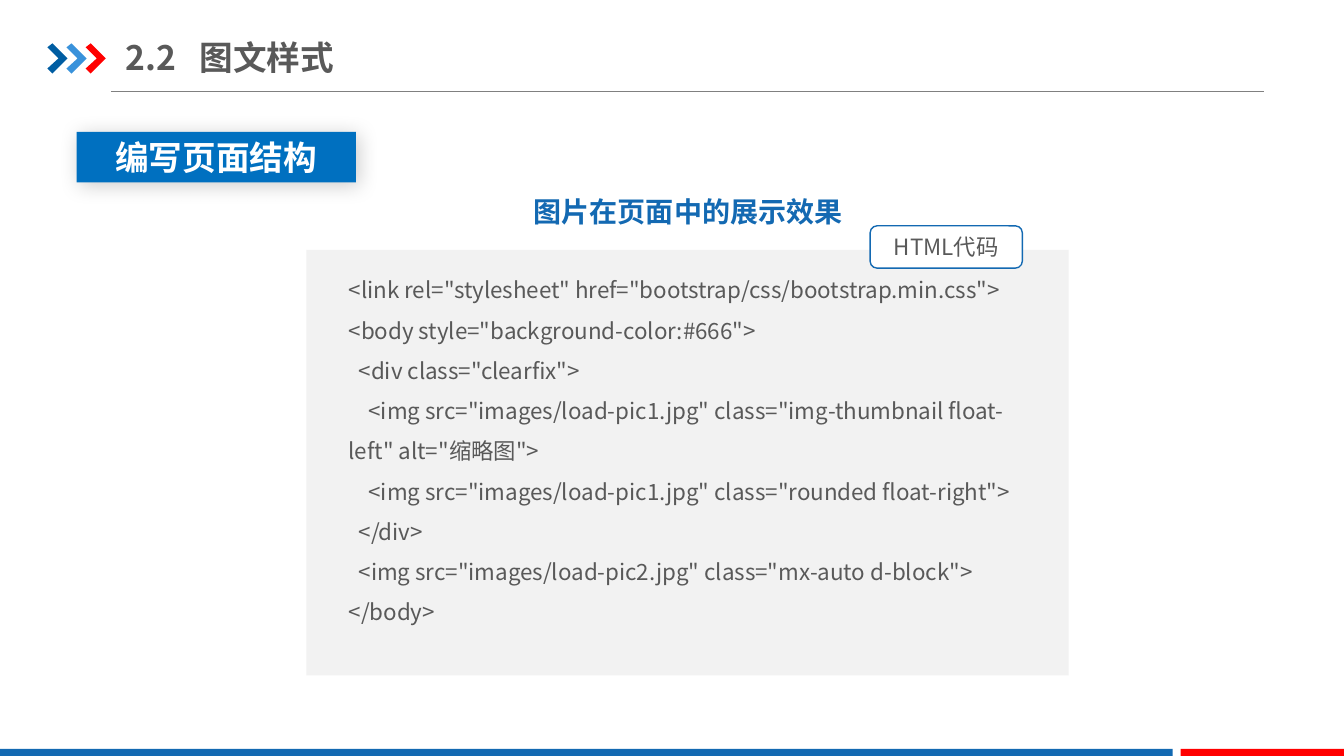
from lxml.etree import SubElement
from pptx import Presentation
from pptx.dml.color import RGBColor
from pptx.enum.shapes import MSO_CONNECTOR, MSO_SHAPE
from pptx.enum.text import MSO_ANCHOR, PP_ALIGN
from pptx.oxml.ns import qn
from pptx.util import Inches, Pt

BLUE = RGBColor(0x13, 0x69, 0xB2)
DARK_BLUE = RGBColor(0x00, 0x5D, 0xA2)
LIGHT_BLUE = RGBColor(0x39, 0x92, 0xDB)
BANNER_BLUE = RGBColor(0x00, 0x70, 0xC0)
RED = RGBColor(0xFF, 0x00, 0x00)
GRAY = RGBColor(0x80, 0x80, 0x80)
TEXT_GRAY = RGBColor(0x59, 0x59, 0x59)
PANEL_GRAY = RGBColor(0xF2, 0xF2, 0xF2)
WHITE = RGBColor(0xFF, 0xFF, 0xFF)
CJK_FONT = "Noto Sans CJK SC"

deck = Presentation()
deck.slide_width, deck.slide_height = Inches(13.33), Inches(7.5)
page = deck.slides.add_slide(deck.slide_layouts[6])


def add_block(kind, left, top, width, height, color):
    block = page.shapes.add_shape(
        kind, Inches(left), Inches(top), Inches(width), Inches(height))
    block.shadow.inherit = False
    block.fill.solid()
    block.fill.fore_color.rgb = color
    block.line.fill.background()
    return block


def write(box, lines, size, color, bold=False, align=PP_ALIGN.LEFT,
          spacing=1.0, font=CJK_FONT, tab=None):
    frame = box.text_frame
    frame.word_wrap = True
    frame.text = "\n".join(lines)
    for para in frame.paragraphs:
        para.alignment = align
        para.line_spacing = spacing
        if tab:
            stops = SubElement(para._p.get_or_add_pPr(), qn("a:tabLst"))
            SubElement(stops, qn("a:tab"), pos=str(Inches(tab)), algn="l")
        para.font.name = font
        para.font.size = Pt(size)
        para.font.bold = bold
        para.font.color.rgb = color
        SubElement(para.font._element, qn("a:ea"), typeface=CJK_FONT)


# Header rule
rule = page.shapes.add_connector(
    MSO_CONNECTOR.STRAIGHT, Inches(1.1), Inches(0.91), Inches(12.54), Inches(0.91))
rule.line.color.rgb = GRAY
rule.line.width = Pt(0.75)
SubElement(rule._element.spPr, qn("a:effectLst"))

# Three chevrons beside the title
CHEVRON = [(0, 0.04), (0.05, 0), (0.2, 0.15), (0.05, 0.3), (0, 0.25), (0.11, 0.15)]
for index, color in enumerate([DARK_BLUE, LIGHT_BLUE, RED]):
    points = [(Inches(0.47 + 0.19 * index + x), Inches(0.43 + y)) for x, y in CHEVRON]
    outline = page.shapes.build_freeform(*points[0])
    outline.add_line_segments(points[1:], close=True)
    chevron = outline.convert_to_shape()
    chevron.shadow.inherit = False
    chevron.fill.solid()
    chevron.fill.fore_color.rgb = color
    chevron.line.fill.background()

# Footer bars
for left, width, color in [(0, 11.63, BLUE), (11.71, 1.62, RED)]:
    add_block(MSO_SHAPE.RECTANGLE, left, 7.43, width, 0.07, color)

# Title
title = page.shapes.add_textbox(Inches(1.25), Inches(0.29), Inches(4.26), Inches(0.55))
title.text_frame.margin_left = title.text_frame.margin_right = 0
title.text_frame.vertical_anchor = MSO_ANCHOR.MIDDLE
write(title, ["2.2\t图文样式"], 24, TEXT_GRAY, bold=True, tab=0.73)

# Code panel
add_block(MSO_SHAPE.RECTANGLE, 3.04, 2.48, 7.56, 4.22, PANEL_GRAY)
code = page.shapes.add_textbox(Inches(3.36), Inches(2.56), Inches(7.13), Inches(4.14))
write(code, [
    '<link rel="stylesheet" href="bootstrap/css/bootstrap.min.css">',
    '<body style="background-color:#666">',
    '  <div class="clearfix">',
    '    <img src="images/load-pic1.jpg" class="img-thumbnail float-left" alt="缩略图">',
    '    <img src="images/load-pic1.jpg" class="rounded float-right">',
    '  </div>',
    '  <img src="images/load-pic2.jpg" class="mx-auto d-block">',
    '</body>',
], 16, TEXT_GRAY, spacing=1.5)

# Language tag on the panel
tag = add_block(MSO_SHAPE.ROUNDED_RECTANGLE, 8.63, 2.24, 1.51, 0.42, WHITE)
tag.line.color.rgb = BLUE
tag.line.width = Pt(1)
write(tag, ["HTML代码"], 16, TEXT_GRAY, align=PP_ALIGN.CENTER)

# Caption
caption = page.shapes.add_textbox(Inches(3.94), Inches(1.71), Inches(5.77), Inches(0.55))
write(caption, ["图片在页面中的展示效果"], 20, BLUE, bold=True,
      align=PP_ALIGN.CENTER, spacing=1.5)

# Section banner with a soft shadow
banner = add_block(MSO_SHAPE.RECTANGLE, 0.76, 1.31, 2.77, 0.5, BANNER_BLUE)
write(banner, ["编写页面结构"], 24, WHITE, bold=True, align=PP_ALIGN.CENTER, font="Arial")
effects = banner._element.spPr.find(qn("a:effectLst"))
shadow = SubElement(effects, qn("a:outerShdw"), blurRad=str(Pt(15)), dist=str(Pt(3)),
                    dir=str(45 * 60000), algn="tl", rotWithShape="0")
shade = SubElement(shadow, qn("a:srgbClr"), val="000000")
SubElement(shade, qn("a:alpha"), val="20000")

deck.save("out.pptx")
